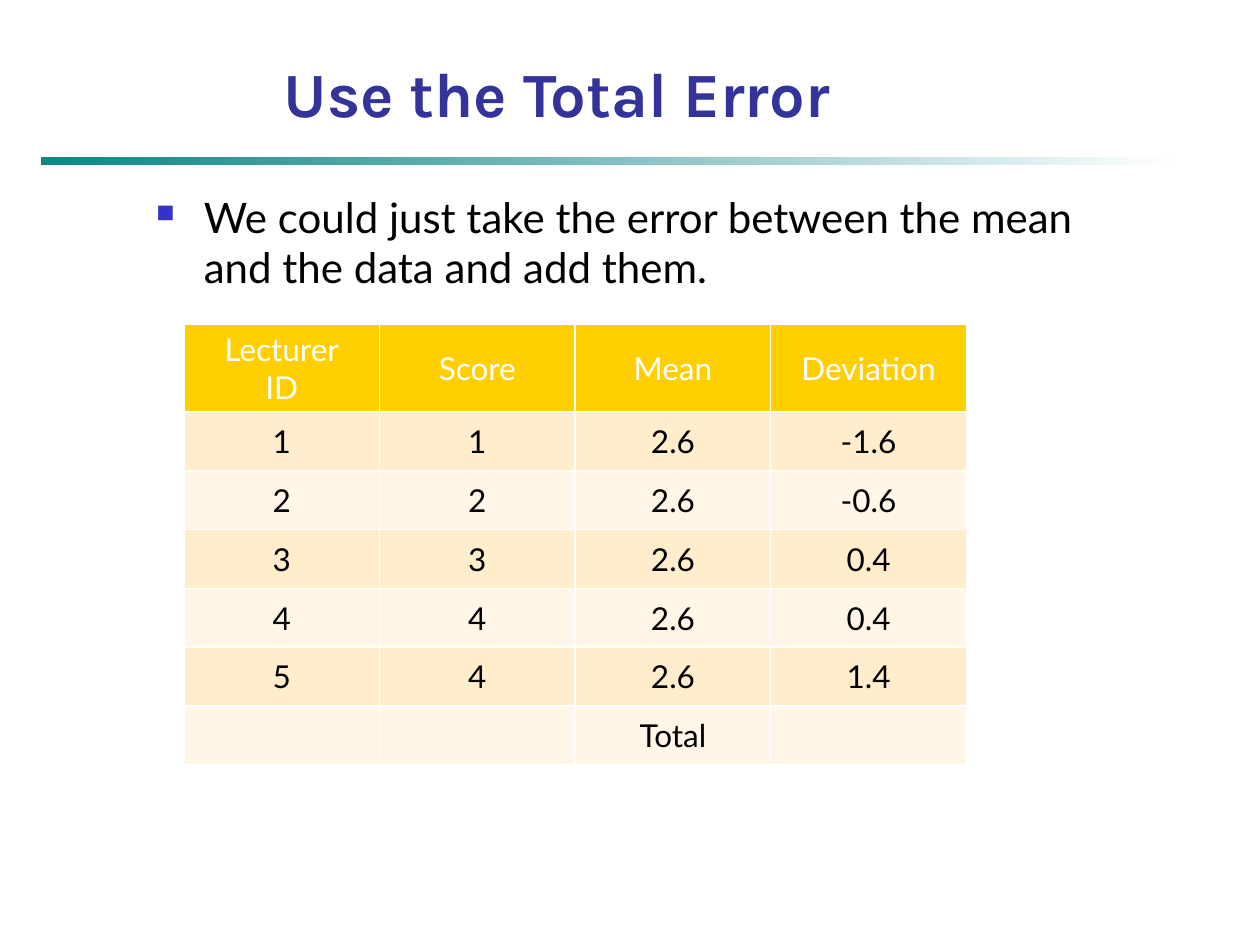
from dataclasses import dataclass

from lxml import etree
from pptx import Presentation
from pptx import util as u
from pptx.dml.color import RGBColor
from pptx.enum import shapes, text
from pptx.oxml import ns

WIDTH, HEIGHT = u.Inches(10), u.Inches(7.5)


@dataclass(frozen=True)
class Theme:
    title_font: str = "Karla"
    body_font: str = "Lato"
    title_size: int = 36
    body_size: int = 24
    table_size: int = 18
    title: str = "333399"
    ink: str = "000000"
    white: str = "FFFFFF"
    bullet: str = "3333CC"
    rule: str = "008080"
    header: str = "FFCF01"
    bands: tuple = ("FFEDCC", "FFF6E7")


THEME = Theme()

ROWS = [
    ("Lecturer\nID", "Score", "Mean", "Deviation"),
    ("1", "1", "2.6", "-1.6"),
    ("2", "2", "2.6", "-0.6"),
    ("3", "3", "2.6", "0.4"),
    ("4", "4", "2.6", "0.4"),
    ("5", "4", "2.6", "1.4"),
    ("", "", "Total", ""),
]


def rgb(value):
    return RGBColor.from_string(value)


def share(left, top, width, height):
    """Turn percentages of the slide's size into lengths."""
    return [int(part * side / 100) for part, side in
            zip((left, top, width, height), (WIDTH, HEIGHT) * 2)]


def sub(parent, tag, **attrs):
    el = etree.SubElement(parent, ns.qn(tag))
    for name, value in attrs.items():
        el.set(name, str(value))
    return el


def style(tf, font, size, color, bold=False, align=None):
    for p in tf.paragraphs:
        p.alignment = align
        for r in p.runs:
            r.font.name, r.font.size, r.font.bold = font, u.Pt(size), bold
            r.font.color.rgb = rgb(color)


def add_text(slide, box, content):
    tf = slide.shapes.add_textbox(*box).text_frame
    tf.word_wrap = True
    tf.text = content
    return tf


def add_title(slide, box, content):
    tf = add_text(slide, box, content)
    tf.vertical_anchor = text.MSO_ANCHOR.BOTTOM
    style(tf, THEME.title_font, THEME.title_size, THEME.title, True,
          text.PP_ALIGN.CENTER)


def add_bullet(slide, box, content):
    tf = add_text(slide, box, content)
    pPr = tf.paragraphs[0]._p.get_or_add_pPr()
    indent = u.Inches(0.38)
    pPr.set("marL", str(indent))
    pPr.set("indent", str(-indent))
    sub(sub(pPr, "a:buClr"), "a:srgbClr", val=THEME.bullet)
    sub(pPr, "a:buSzPct", val=60000)
    sub(pPr, "a:buChar", char="■")
    style(tf, THEME.body_font, THEME.body_size, THEME.ink)


def add_fading_rule(slide, box):
    sp = slide.shapes.add_shape(shapes.MSO_SHAPE.RECTANGLE, *box)
    sp.shadow.inherit = False
    sp.line.fill.background()
    sp.fill.gradient()
    sp.fill.gradient_angle = 0
    for stop, color in zip(sp.fill.gradient_stops, (THEME.rule, THEME.white)):
        stop.color.rgb = rgb(color)
    first = next(sp._element.iter(ns.qn("a:srgbClr")))
    sub(first, "a:alpha", val=95000)


def format_cell(cell, content, fill, color):
    tcPr = cell._tc.get_or_add_tcPr()
    for side in "LRTB":
        ln = sub(tcPr, f"a:ln{side}", w=u.Pt(1))
        sub(sub(ln, "a:solidFill"), "a:srgbClr", val=THEME.white)
    cell.fill.solid()
    cell.fill.fore_color.rgb = rgb(fill)
    cell.vertical_anchor = text.MSO_ANCHOR.MIDDLE
    cell.text_frame.text = content
    style(cell.text_frame, THEME.body_font, THEME.table_size, color,
          align=text.PP_ALIGN.CENTER)


def add_score_table(slide, box, rows):
    table = slide.shapes.add_table(len(rows), len(rows[0]), *box).table
    header_height = box[3] // 5
    for i, values in enumerate(rows):
        if i == 0:
            table.rows[i].height = header_height
            fill, color = THEME.header, THEME.white
        else:
            table.rows[i].height = (box[3] - header_height) // (len(rows) - 1)
            fill, color = THEME.bands[(i - 1) % 2], THEME.ink
        for j, value in enumerate(values):
            format_cell(table.cell(i, j), value, fill, color)


def main():
    prs = Presentation()
    prs.slide_width, prs.slide_height = WIDTH, HEIGHT
    slide = prs.slides.add_slide(prs.slide_layouts[6])
    add_fading_rule(slide, share(3.3, 16.67, 90, 0.7))
    add_title(slide, share(5.1, -2.27, 78.2, 16.67), "Use the Total Error")
    add_bullet(slide, share(11.4, 19.6, 78.6, 18),
               "We could just take the error between the mean "
               "and the data and add them.")
    add_score_table(slide, share(14.6, 34.27, 62.1, 46.67), ROWS)
    prs.save("out.pptx")


if __name__ == "__main__":
    main()
